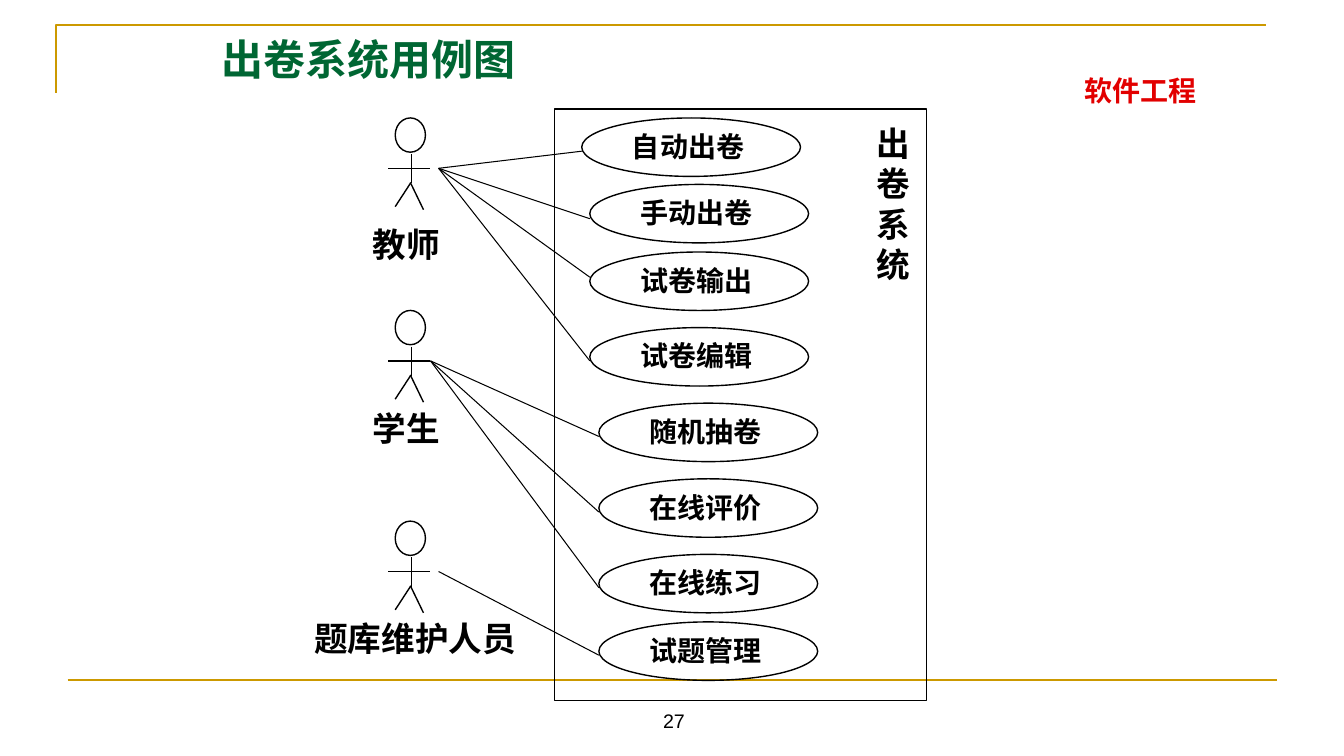
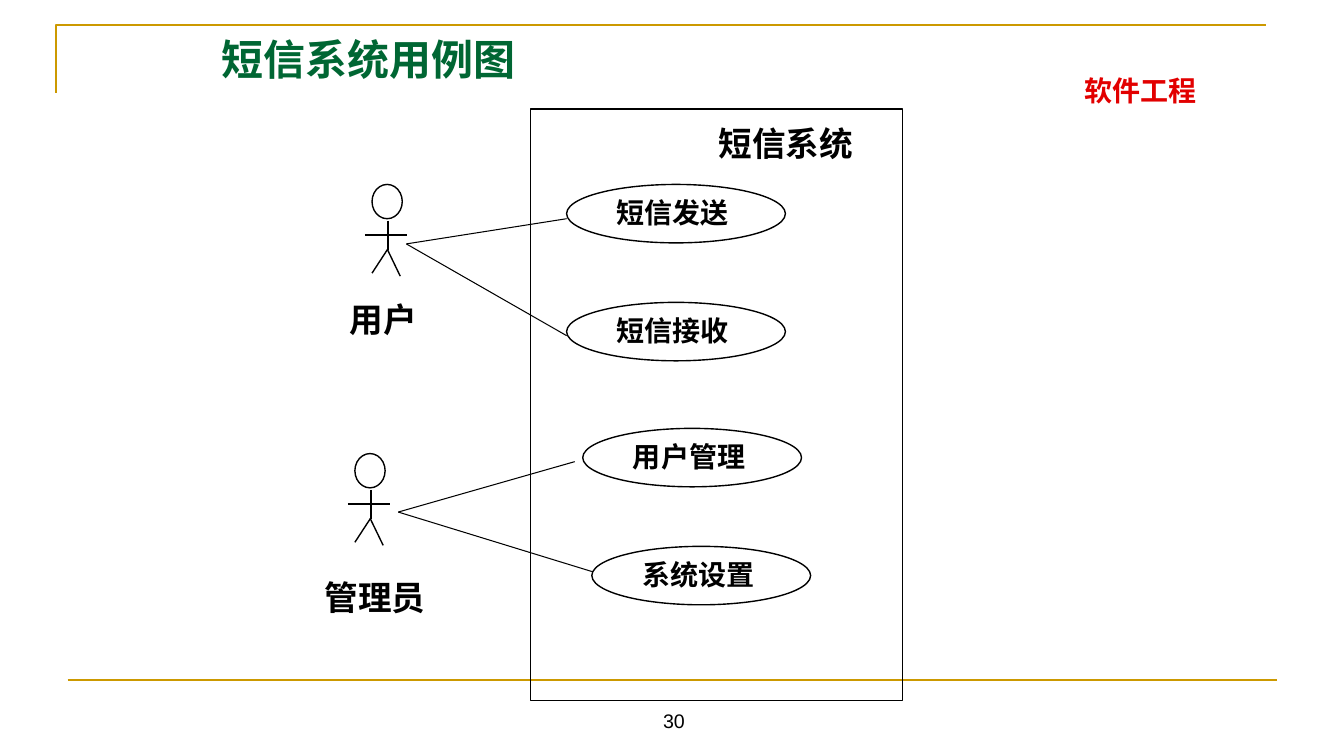
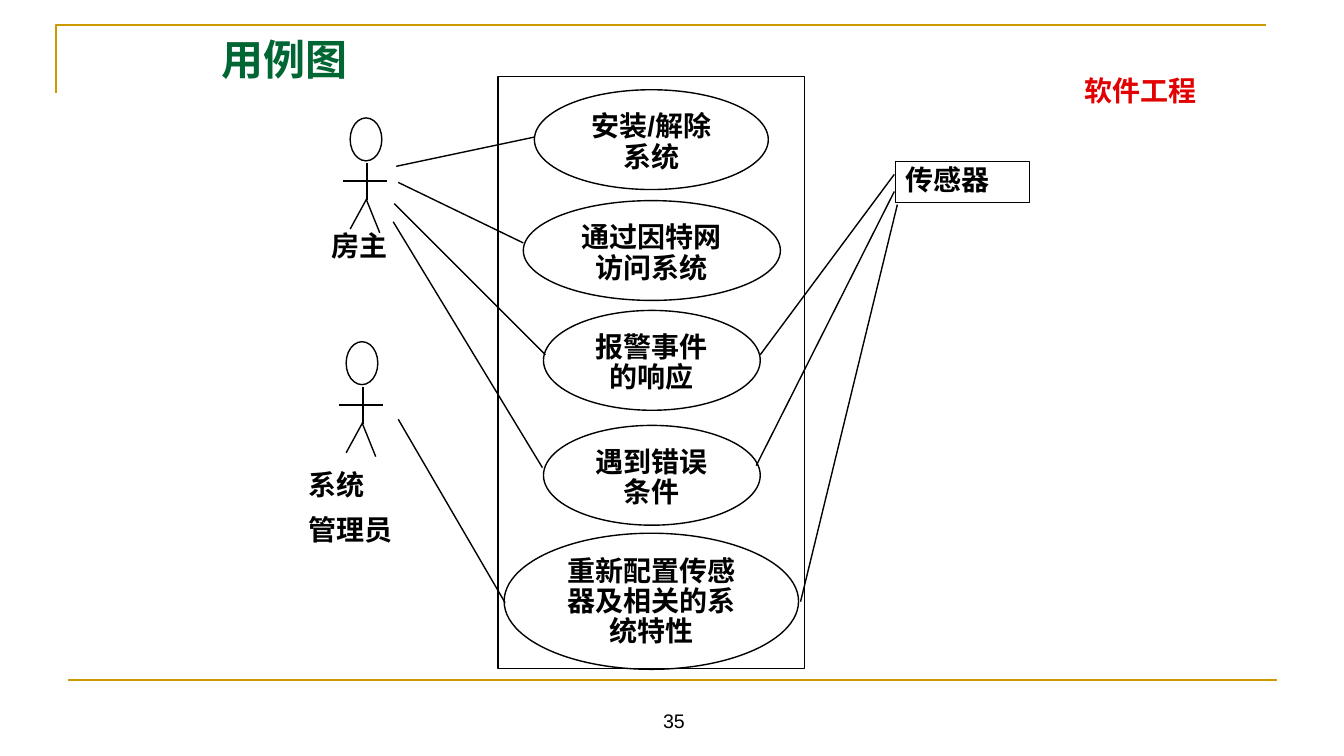
from lxml.etree import SubElement
from pptx import Presentation
from pptx.dml.color import RGBColor
from pptx.enum.lang import MSO_LANGUAGE_ID
from pptx.enum.shapes import MSO_CONNECTOR, MSO_SHAPE
from pptx.enum.text import MSO_ANCHOR, MSO_AUTO_SIZE, PP_ALIGN
from pptx.oxml.ns import qn
from pptx.util import Pt

EMU_PER_PX = 9144  # 100 px to the inch
BLACK, GOLD, GREEN, RED = "000000", "CC9900", "006633", "E20000"
SANS, SERIF, CHINESE = "Arial", "Times New Roman", "Noto Sans CJK JP"

TITLE = {"size": 30, "name": SERIF, "color": GREEN, "bold": True}
COURSE = {"size": 20, "name": CHINESE, "color": RED, "bold": True}
NUMBER = {"size": 14, "name": SANS, "color": BLACK, "bold": False}
LABEL = {"size": 24, "name": SERIF, "color": BLACK, "bold": True}
CASE = {"size": 20, "name": SANS, "color": BLACK, "bold": True, "line_spacing": 0.9}


def px(*lengths):
    return [round(length * EMU_PER_PX) for length in lengths]


def rgb(color):
    return RGBColor.from_string(color)


class UseCaseDeck:
    """Holds the shared style and the slide being drawn."""

    def __init__(self):
        self.presentation = Presentation()
        self.presentation.slide_width, self.presentation.slide_height = px(1333, 750)
        self.slide = None

    def add_slide(self, title, number, title_width=850):
        layout = self.presentation.slide_layouts[5]
        self.slide = self.presentation.slides.add_slide(layout)
        self.frame()
        self.text(919, 68, 425, 43, "软件工程", COURSE, PP_ALIGN.CENTER)
        self.text(513, 682, 311, 50, number, NUMBER, PP_ALIGN.CENTER,
                  anchor=MSO_ANCHOR.BOTTOM, auto_size=MSO_AUTO_SIZE.NONE)
        placeholder = self.slide.shapes.title
        box = zip(("left", "top", "width", "height"), px(210, 28, title_width, 125))
        for name, value in box:
            setattr(placeholder, name, value)
        self.fill_text(placeholder, title, TITLE, auto_size=MSO_AUTO_SIZE.NONE)

    def frame(self):
        builder = self.slide.shapes.build_freeform(56, 92, scale=EMU_PER_PX)
        builder.add_line_segments([(56, 25), (1256, 25)], close=False)
        self.outline(builder.convert_to_shape(), GOLD, 1.5)
        self.line((67, 675), (1267, 675), GOLD, 1.5)

    def outline(self, shape, color=BLACK, width=1):
        shape.shadow.inherit = False
        shape.fill.background()
        shape.line.color.rgb = rgb(color)
        shape.line.width = Pt(width)
        return shape

    def line(self, start, end, color=BLACK, width=1.0, shapes=None):
        shapes = shapes or self.slide.shapes
        connector = shapes.add_connector(MSO_CONNECTOR.STRAIGHT, *px(*start, *end))
        connector.line.color.rgb = rgb(color)
        connector.line.width = Pt(width)
        SubElement(connector._element.spPr, qn("a:effectLst"))

    def fan(self, start, ends):
        for end in ends:
            self.line(start, end, width=0.75)

    def fill_text(self, shape, text, style, align=PP_ALIGN.LEFT, **frame_format):
        frame = shape.text_frame
        settings = {"word_wrap": True, "vertical_anchor": MSO_ANCHOR.TOP,
                    "auto_size": MSO_AUTO_SIZE.SHAPE_TO_FIT_TEXT, **frame_format}
        for name, value in settings.items():
            setattr(frame, name, value)
        frame.text = text
        for paragraph in frame.paragraphs:
            paragraph_format = {"alignment": align, "space_before": Pt(style["size"] / 2),
                                "line_spacing": style.get("line_spacing", 1.0)}
            for name, value in paragraph_format.items():
                setattr(paragraph, name, value)
            for run in paragraph.runs:
                self.format_run(run, style)

    def format_run(self, run, style):
        font_format = {"size": Pt(style["size"]), "name": style["name"],
                       "bold": style["bold"],
                       "language_id": MSO_LANGUAGE_ID.SIMPLIFIED_CHINESE}
        for name, value in font_format.items():
            setattr(run.font, name, value)
        run.font.color.rgb = rgb(style["color"])
        SubElement(run._r.get_or_add_rPr(), qn("a:ea"), typeface=CHINESE)

    def text(self, left, top, width, height, text, style, align=PP_ALIGN.LEFT,
             anchor=MSO_ANCHOR.TOP, auto_size=MSO_AUTO_SIZE.SHAPE_TO_FIT_TEXT):
        box = self.slide.shapes.add_textbox(*px(left, top, width, height))
        self.fill_text(box, text, style, align, vertical_anchor=anchor,
                       auto_size=auto_size)

    def rectangle(self, left, top, width, height):
        bounds = px(left, top, width, height)
        return self.outline(self.slide.shapes.add_shape(MSO_SHAPE.RECTANGLE, *bounds))

    def actor(self, left, top, width=42, height=91):
        """Draw a stick figure, laid out on a grid of 42 by 91."""
        shapes = self.slide.shapes.add_group_shape().shapes

        def place(x, y):
            return left + x * width / 42, top + y * height / 91

        head = px(*place(7, 0), 30 * width / 42, 34 * height / 91)
        self.outline(shapes.add_shape(MSO_SHAPE.OVAL, *head))
        limbs = [((0, 50), (42, 50)), ((23, 36), (23, 65)),
                 ((22, 65), (7, 88)), ((22, 64), (35, 91))]
        for start, end in limbs:
            self.line(place(*start), place(*end), shapes=shapes)

    def use_case(self, left, top, text, width=217, height=58, inset=(40, 10),
                 align=PP_ALIGN.LEFT):
        bounds = px(left, top, width, height)
        self.outline(self.slide.shapes.add_shape(MSO_SHAPE.OVAL, *bounds))
        across, down = inset
        self.text(left + across, top + down, width - 2 * across, height - 2 * down,
                  text, CASE, align)


def draw_exam_system(deck):
    deck.add_slide("出卷系统用例图", "27")
    for top in (117, 308, 517):
        deck.actor(385, top)
    deck.text(360, 217, 100, 50, "教师", LABEL)
    deck.text(360, 400, 100, 50, "学生", LABEL)
    deck.text(302, 608, 233, 50, "题库维护人员", LABEL)
    deck.rectangle(550, 108, 369, 587)
    deck.text(860, 117, 50, 172, "出卷系统", LABEL)
    use_cases = [(577, 117, "自动出卷"), (585, 183, "手动出卷"),
                 (585, 250, "试卷输出"), (585, 325, "试卷编辑"),
                 (594, 400, "随机抽卷"), (594, 475, "在线评价"),
                 (594, 550, "在线练习"), (594, 617, "试题管理")]
    for left, top, text in use_cases:
        deck.use_case(left, top, text)
    deck.fan((435, 167), [(577, 150), (585, 217), (585, 275), (585, 358)])
    deck.fan((427, 358), [(594, 433), (594, 508), (594, 583)])
    deck.fan((435, 567), [(594, 650)])


def draw_message_system(deck):
    deck.add_slide("短信系统用例图", "30")
    deck.actor(362, 183)
    deck.text(337, 292, 100, 50, "用户", LABEL)
    deck.actor(345, 450)
    deck.text(312, 567, 133, 50, "管理员", LABEL)
    deck.rectangle(526, 108, 369, 587)
    deck.text(703, 117, 183, 50, "短信系统", LABEL)
    use_cases = [(562, 183, "短信发送"), (562, 300, "短信接收"),
                 (578, 425, "用户管理"), (587, 542, "系统设置")]
    for left, top, text in use_cases:
        deck.use_case(left, top, text)
    deck.fan((403, 242), [(562, 217), (562, 333)])
    deck.fan((395, 508), [(570, 458), (587, 567)])


def draw_alarm_system(deck):
    deck.add_slide("用例图", "35", title_width=623)
    deck.actor(340, 117, 44, 114)
    deck.text(319, 226, 102, 40, "房主", CASE)
    deck.actor(336, 339, 44, 114)
    deck.text(296, 463, 123, 87, "系统\n管理员", CASE)
    deck.rectangle(494, 76, 304, 587)
    use_cases = [(530, 89, "安装/解除系统", 232, 99, (43, 18)),
                 (519, 199, "通过因特网访问系统", 255, 99, (47, 18)),
                 (539, 308, "报警事件的响应", 215, 99, (40, 18)),
                 (539, 422, "遇到错误条件", 215, 99, (40, 18)),
                 (500, 529, "重新配置传感器及相关的系统特性", 292, 135, (41, 19))]
    for use_case in use_cases:
        deck.use_case(*use_case, align=PP_ALIGN.CENTER)
    deck.fill_text(deck.rectangle(888, 160, 133, 41), "传感器", CASE)
    links = [((393, 165), (530, 136)), ((395, 181), (519, 241)),
             ((391, 202), (541, 352)), ((390, 220), (538, 464)),
             ((395, 416), (501, 598)), ((887, 173), (754, 352)),
             ((887, 190), (750, 462)), ((890, 203), (794, 597))]
    for start, end in links:
        deck.line(start, end)


def main():
    deck = UseCaseDeck()
    draw_exam_system(deck)
    draw_message_system(deck)
    draw_alarm_system(deck)
    deck.presentation.save("out.pptx")


if __name__ == "__main__":
    main()
